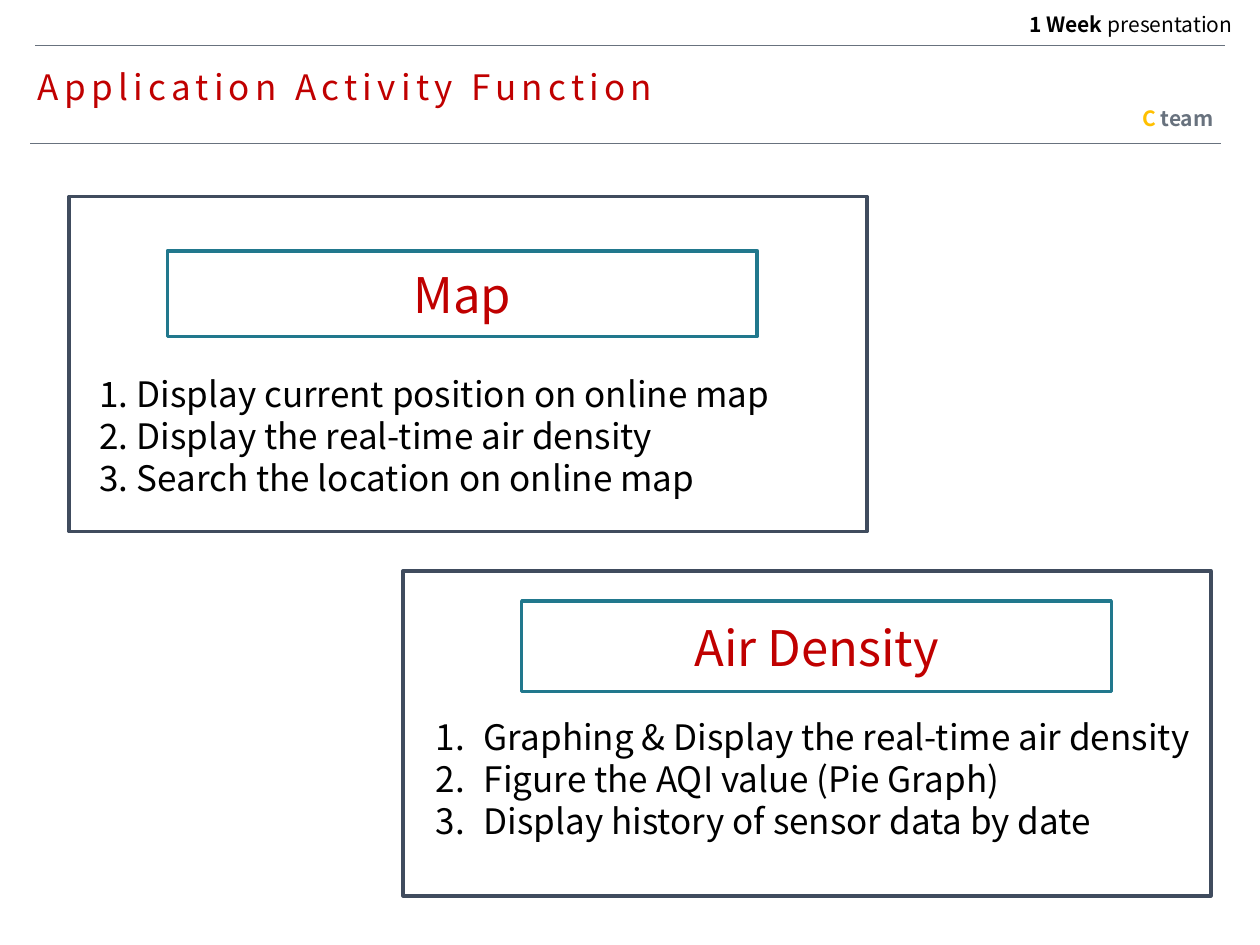
import pptx
import pptx.util
import pptx.dml.color
import pptx.enum.shapes
import pptx.enum.text
import pptx.oxml.ns
from lxml import etree

Inches = pptx.util.Inches
Pt = pptx.util.Pt
RGBColor = pptx.dml.color.RGBColor
Align = pptx.enum.text.PP_ALIGN
Anchor = pptx.enum.text.MSO_ANCHOR

FONT = "Noto Sans CJK KR"
RED = RGBColor(0xC0, 0x00, 0x00)
BLACK = RGBColor(0x00, 0x00, 0x00)
GRAY = RGBColor(0x68, 0x72, 0x7E)
GOLD = RGBColor(0xFF, 0xC0, 0x00)
SLATE = RGBColor(0x40, 0x4C, 0x5E)
TEAL = RGBColor(0x21, 0x78, 0x8D)


def place(shape, left, top, width, height):
    shape.left, shape.top = Inches(left), Inches(top)
    shape.width, shape.height = Inches(width), Inches(height)


def format_paragraph(paragraph, size, color, alignment=Align.LEFT, spacing=1.0):
    paragraph.alignment = alignment
    paragraph.line_spacing = spacing
    paragraph.space_before = Pt(0)
    paragraph.font.name = FONT
    paragraph.font.size = Pt(size)
    paragraph.font.color.rgb = color


def add_rule(slide, left, right, y):
    line = slide.shapes.add_connector(
        pptx.enum.shapes.MSO_CONNECTOR.STRAIGHT,
        Inches(left), Inches(y), Inches(right), Inches(y))
    line.line.color.rgb = GRAY
    line.line.width = Pt(0.25)
    etree.SubElement(line._element.spPr, pptx.oxml.ns.qn("a:effectLst"))


def set_title(slide, text):
    title = slide.shapes.title
    place(title, 0.2, 0.51, 5.43, 0.4)
    frame = title.text_frame
    frame.text = text
    frame.vertical_anchor = Anchor.TOP
    frame.auto_size = pptx.enum.text.MSO_AUTO_SIZE.NONE
    format_paragraph(frame.paragraphs[0], 20, RED, spacing=0.9)
    frame.paragraphs[0].runs[0]._r.get_or_add_rPr().set("spc", "300")


def add_label(slide, left, top, runs):
    label = slide.shapes.add_textbox(
        Inches(left), Inches(top), Inches(2.05), Inches(0.26))
    label.text_frame.word_wrap = True
    paragraph = label.text_frame.paragraphs[0]
    format_paragraph(paragraph, 12, BLACK, Align.RIGHT, 0.8)
    for text, color, bold in runs:
        run = paragraph.add_run()
        run.text = text
        run.font.color.rgb = color
        run.font.bold = bold


def add_frame(slide, bounds, color):
    frame = slide.shapes.add_shape(
        pptx.enum.shapes.MSO_SHAPE.RECTANGLE, *map(Inches, bounds))
    frame.shadow.inherit = False
    frame.fill.background()
    frame.line.color.rgb = color
    frame.line.width = Pt(2)
    return frame


def add_heading(slide, bounds, text):
    heading = add_frame(slide, bounds, TEAL)
    heading.text_frame.text = text
    heading.text_frame.vertical_anchor = Anchor.MIDDLE
    format_paragraph(heading.text_frame.paragraphs[0], 28, RED, Align.CENTER)


def set_list(placeholder, bounds, items, numbered):
    place(placeholder, *bounds)
    frame = placeholder.text_frame
    frame.text = "\n".join(items)
    frame.vertical_anchor = Anchor.TOP
    frame.auto_size = pptx.enum.text.MSO_AUTO_SIZE.NONE
    indent = Inches(0.38) if numbered else 0
    for paragraph in frame.paragraphs:
        format_paragraph(paragraph, 20, BLACK)
        properties = paragraph._p.get_or_add_pPr()
        properties.set("marL", str(indent))
        properties.set("indent", str(-indent))
        tag = "a:buAutoNum" if numbered else "a:buNone"
        bullet = etree.Element(pptx.oxml.ns.qn(tag))
        if numbered:
            bullet.set("type", "arabicPeriod")
        properties.find(pptx.oxml.ns.qn("a:defRPr")).addprevious(bullet)


def main():
    presentation = pptx.Presentation()
    presentation.slide_width = Inches(10)
    presentation.slide_height = Inches(7.5)
    slide = presentation.slides.add_slide(
        presentation.slide_layouts.get_by_name("Two Content"))

    add_rule(slide, 0.28, 9.72, 0.36)
    add_rule(slide, 0.24, 9.69, 1.14)
    set_title(slide, "Application Activity Function")
    add_label(slide, 7.83, 0.08,
              [("1 Week ", BLACK, True), ("presentation", BLACK, False)])
    add_label(slide, 7.68, 0.83, [("C", GOLD, True), (" team", GRAY, True)])

    add_frame(slide, (3.2, 4.53, 6.41, 2.58), SLATE)
    add_heading(slide, (4.14, 4.77, 4.68, 0.72), "Air Density")
    set_list(slide.placeholders[2], (3.36, 5.63, 6.25, 1.45),
             ["Graphing & Display the real-time air density",
              "Figure the AQI value (Pie Graph)",
              "Display history of sensor data by date"], True)

    add_frame(slide, (0.55, 1.56, 6.33, 2.66), SLATE)
    add_heading(slide, (1.33, 1.99, 4.68, 0.68), "Map")
    set_list(slide.placeholders[1], (0.69, 2.91, 6.16, 1.31),
             ["1. Display current position on online map",
              "2. Display the real-time air density",
              "3. Search the location on online map"], False)

    presentation.save("out.pptx")


if __name__ == "__main__":
    main()
